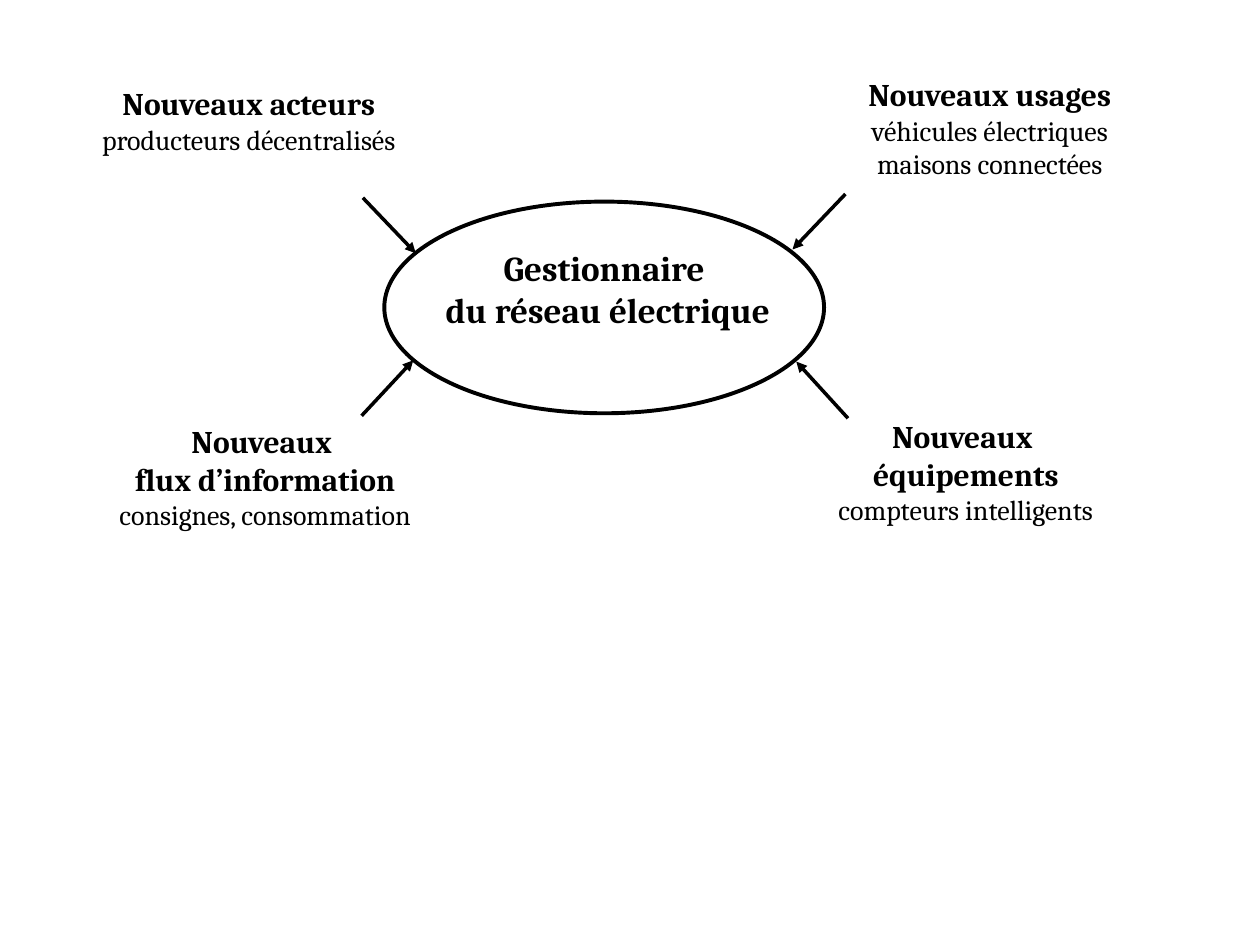
from lxml import etree
from pptx import Presentation
from pptx import util as u
from pptx.dml.color import RGBColor
from pptx.enum import shapes, text
from pptx.oxml import ns

COLORS = {"ink": "000000", "paper": "FFFFFF"}


class Diagram:
    """Holds the style and the current slide."""

    font = "Cambria"

    def __init__(self, s):
        """Draw on slide s."""
        self.s = s

    def color(self, name):
        """Return a named colour."""
        return RGBColor.from_string(COLORS[name])

    def label(self, x, y, w, h, heads, details=(), size=18, fill=None):
        """Add centred bold heading lines over plain detail lines."""
        sp = self.s.shapes.add_textbox(*map(u.Inches, (x, y, w, h)))
        if fill:
            sp.fill.solid()
            sp.fill.fore_color.rgb = self.color(fill)
        tf = sp.text_frame
        tf.word_wrap = True
        tf.text = "\n".join([*heads, *details])
        for i, p in enumerate(tf.paragraphs):
            is_head = i < len(heads)
            p.alignment = text.PP_ALIGN.CENTER
            p.font.name = self.font
            p.font.size = u.Pt(size if is_head else 16)
            p.font.bold = is_head
            p.font.color.rgb = self.color("ink")

    def ellipse(self, x, y, w, h):
        """Add an outlined ellipse."""
        sp = self.s.shapes.add_shape(
            shapes.MSO_SHAPE.OVAL, *map(u.Inches, (x, y, w, h)))
        sp.shadow.inherit = False
        sp.fill.background()
        sp.line.color.rgb = self.color("ink")
        sp.line.width = u.Pt(2.25)

    def arrow(self, x1, y1, x2, y2):
        """Add a straight arrow pointing at its second end."""
        sp = self.s.shapes.add_connector(
            shapes.MSO_CONNECTOR.STRAIGHT, *map(u.Inches, (x1, y1, x2, y2)))
        sp.line.color.rgb = self.color("ink")
        sp.line.width = u.Pt(2)
        etree.SubElement(sp.line._get_or_add_ln(), ns.qn("a:tailEnd"),
                         type="triangle")
        etree.SubElement(sp._element.spPr, ns.qn("a:effectLst"))


def main():
    """Build the network manager slide."""
    prs = Presentation()
    prs.slide_width, prs.slide_height = u.Inches(10), u.Inches(7.5)
    d = Diagram(prs.slides.add_slide(prs.slide_layouts[6]))

    d.label(3.05, 1.91, 3.49, 0.77,
            ["Gestionnaire", " du réseau électrique"], size=20, fill="paper")
    d.label(0.69, 3.3, 2.83, 0.98, ["Nouveaux ", "flux d’information"],
            ["consignes, consommation"], fill="paper")
    d.label(0.69, 0.62, 2.57, 0.98, ["Nouveaux acteurs"],
            ["producteurs décentralisés"])
    d.label(6.07, 3.26, 3.19, 0.98, ["Nouveaux ", "équipements"],
            ["compteurs intelligents"])
    d.label(6.26, 0.55, 3.19, 0.94, ["Nouveaux usages"],
            ["véhicules électriques", "maisons connectées"])
    d.ellipse(3.05, 1.6, 3.49, 1.68)

    for ends in ((6.71, 1.54, 6.29, 1.98), (6.73, 3.32, 6.32, 2.87),
                 (2.88, 1.57, 3.3, 2.01), (2.87, 3.3, 3.28, 2.86)):
        d.arrow(*ends)
    prs.save("out.pptx")


main()
